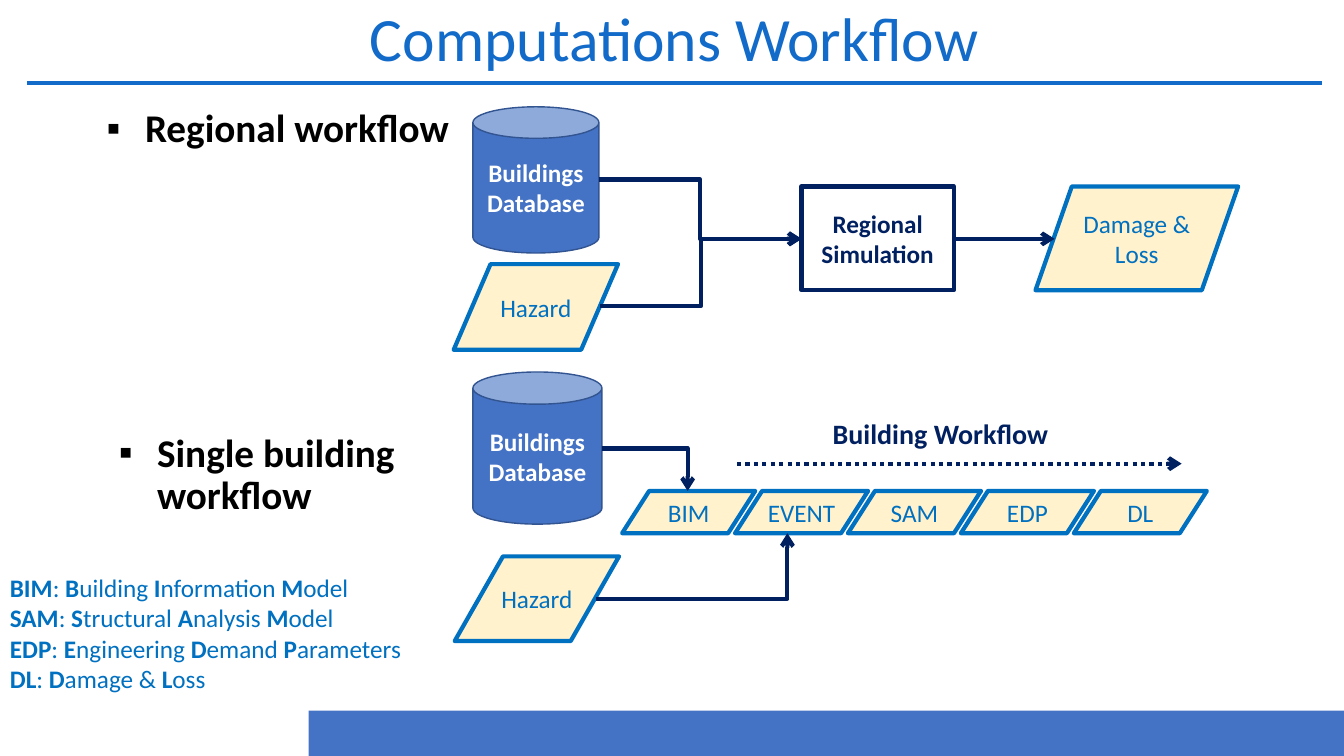
from dataclasses import dataclass
from lxml import etree
from pptx import Presentation
from pptx import util as u
from pptx.dml.color import RGBColor
from pptx.enum import dml, shapes, text
from pptx.oxml.ns import qn

SCALE = 9144
KIND = shapes.MSO_SHAPE
LINK = shapes.MSO_CONNECTOR
ALIGN = text.PP_ALIGN
FIT = text.MSO_AUTO_SIZE
MID = text.MSO_ANCHOR.MIDDLE


@dataclass(frozen=True)
class Theme:
    face: str = "Calibri"
    title: str = "126AC9"
    band: str = "4472C4"
    edge: str = "325491"
    navy: str = "002060"
    sky: str = "0070C0"
    cream: str = "FFF2CC"
    black: str = "000000"
    white: str = "FFFFFF"
    head: int = 44
    point: int = 28
    label: int = 20
    body: int = 18
    thick: int = 3
    thin: int = 1


THEME = Theme()


def px(*nums):
    return [u.Emu(n * SCALE) for n in nums]


def assign(obj, **vals):
    for name, val in vals.items():
        setattr(obj, name, val)


def paint(fill, color):
    if color:
        fill.solid()
        fill.fore_color.rgb = RGBColor.from_string(color)
    else:
        fill.background()


def stroke(line, color, width):
    paint(line.fill, color)
    if color:
        line.width = u.Pt(width)


def write(frame, lines, size, color, bold=False, **form):
    for num, line in enumerate(lines):
        para = frame.paragraphs[0] if num == 0 else frame.add_paragraph()
        assign(para, **form)
        for part, chunk in enumerate(line.split("*")):
            if chunk:
                run = para.add_run()
                run.text = chunk
                assign(run.font, name=THEME.face, size=u.Pt(size), bold=bold or part % 2 == 1)
                run.font.color.rgb = RGBColor.from_string(color)


def block(slide, kind, box, fill, edge=None, width=0, adj=None):
    shape = slide.shapes.add_shape(kind, *px(*box))
    shape.shadow.inherit = False
    paint(shape.fill, fill)
    stroke(shape.line, edge, width)
    if adj is not None:
        shape.adjustments[0] = adj
    assign(shape.text_frame, vertical_anchor=MID, word_wrap=True)
    return shape


def store(slide, box):
    can = block(slide, KIND.CAN, box, THEME.band, THEME.edge, THEME.thin)
    write(can.text_frame, ["Buildings Database"], THEME.body, THEME.white, True, alignment=ALIGN.CENTER)


def slant(slide, box, adj, *lines):
    shape = block(slide, KIND.PARALLELOGRAM, box, THEME.cream, THEME.sky, THEME.thick, adj)
    write(shape.text_frame, lines, THEME.body, THEME.sky, alignment=ALIGN.CENTER)


def note(slide, box, lines, size, color, bold=False, frame=None, **form):
    area = slide.shapes.add_textbox(*px(*box)).text_frame
    assign(area, **{"word_wrap": True, "auto_size": FIT.SHAPE_TO_FIT_TEXT, **(frame or {})})
    write(area, lines, size, color, bold, **form)
    return area


def bullet(slide, box, words):
    area = note(slide, box, [words], THEME.point, THEME.black, True, line_spacing=0.9)
    props = area.paragraphs[0]._p.get_or_add_pPr()
    indent = px(38)[0]
    props.set("marL", str(indent))
    props.set("indent", str(-indent))
    etree.SubElement(props, qn("a:buFont")).set("typeface", "Arial")
    etree.SubElement(props, qn("a:buChar")).set("char", "▪")


def link(slide, start, end, kind=LINK.STRAIGHT, color=THEME.navy, arrow=True, dash=None, corner=False):
    wire = slide.shapes.add_connector(kind, *px(*start, *end))
    stroke(wire.line, color, THEME.thick)
    if dash:
        wire.line.dash_style = dash
    props = wire._element.spPr
    if corner:
        props.find(qn("a:prstGeom")).set("prst", "bentConnector2")
    if arrow:
        etree.SubElement(wire.line._get_or_add_ln(), qn("a:tailEnd")).set("type", "arrow")
    etree.SubElement(props, qn("a:effectLst"))


def frame_page(slide):
    block(slide, KIND.RECTANGLE, (306, 705, 1028, 45), THEME.band)
    link(slide, (27, 82), (1311, 82), color=THEME.title, arrow=False)
    note(slide, (27, 0, 1284, 82), ["Computations Workflow"], THEME.head, THEME.title,
         frame={"auto_size": FIT.NONE, "vertical_anchor": MID},
         alignment=ALIGN.CENTER, line_spacing=0.9)


def draw_region(slide):
    bullet(slide, (96, 103, 398, 54), "Regional workflow")
    store(slide, (469, 106, 125, 145))
    slant(slide, (450, 262, 163, 85), 0.43, "Hazard")
    model = block(slide, KIND.RECTANGLE, (795, 185, 151, 103), None, THEME.navy, THEME.thick)
    write(model.text_frame, ["Regional Simulation"], THEME.body, THEME.navy, True, alignment=ALIGN.CENTER)
    slant(slide, (1027, 185, 201, 103), 0.35, "Damage &", "Loss")
    for start in ((594, 178), (595, 304)):
        link(slide, start, (795, 237), LINK.ELBOW)
    link(slide, (946, 237), (1046, 237))


def draw_single(slide):
    bullet(slide, (108, 425, 338, 95), "Single building workflow")
    store(slide, (469, 369, 128, 151))
    slant(slide, (451, 552, 163, 84), 0.57, "Hazard")
    for num, step in enumerate(("BIM", "EVENT", "SAM", "EDP", "DL")):
        slant(slide, (617 + 112 * num, 487, 132, 42), 0.64, step)
    link(slide, (597, 445), (682, 487), LINK.ELBOW, corner=True)
    link(slide, (591, 594), (781, 529), LINK.ELBOW, corner=True)
    note(slide, (816, 408, 269, 44), ["Building Workflow"], THEME.label, THEME.navy, True)
    link(slide, (731, 460), (1172, 460), dash=dml.MSO_LINE.ROUND_DOT)


def draw_terms(slide):
    terms = ["*BIM*: *B*uilding *I*nformation *M*odel",
             "*SAM*: *S*tructural *A*nalysis *M*odel",
             "*EDP*: *E*ngineering *D*emand *P*arameters",
             "*DL*: *D*amage & *L*oss"]
    note(slide, (0, 563, 413, 131), terms, THEME.body, THEME.sky, frame={"word_wrap": False})


def main():
    deck = Presentation()
    wide, high = px(1333, 750)
    assign(deck, slide_width=wide, slide_height=high)
    slide = deck.slides.add_slide(deck.slide_layouts[6])
    for draw in (frame_page, draw_region, draw_single, draw_terms):
        draw(slide)
    deck.save("out.pptx")


if __name__ == "__main__":
    main()
